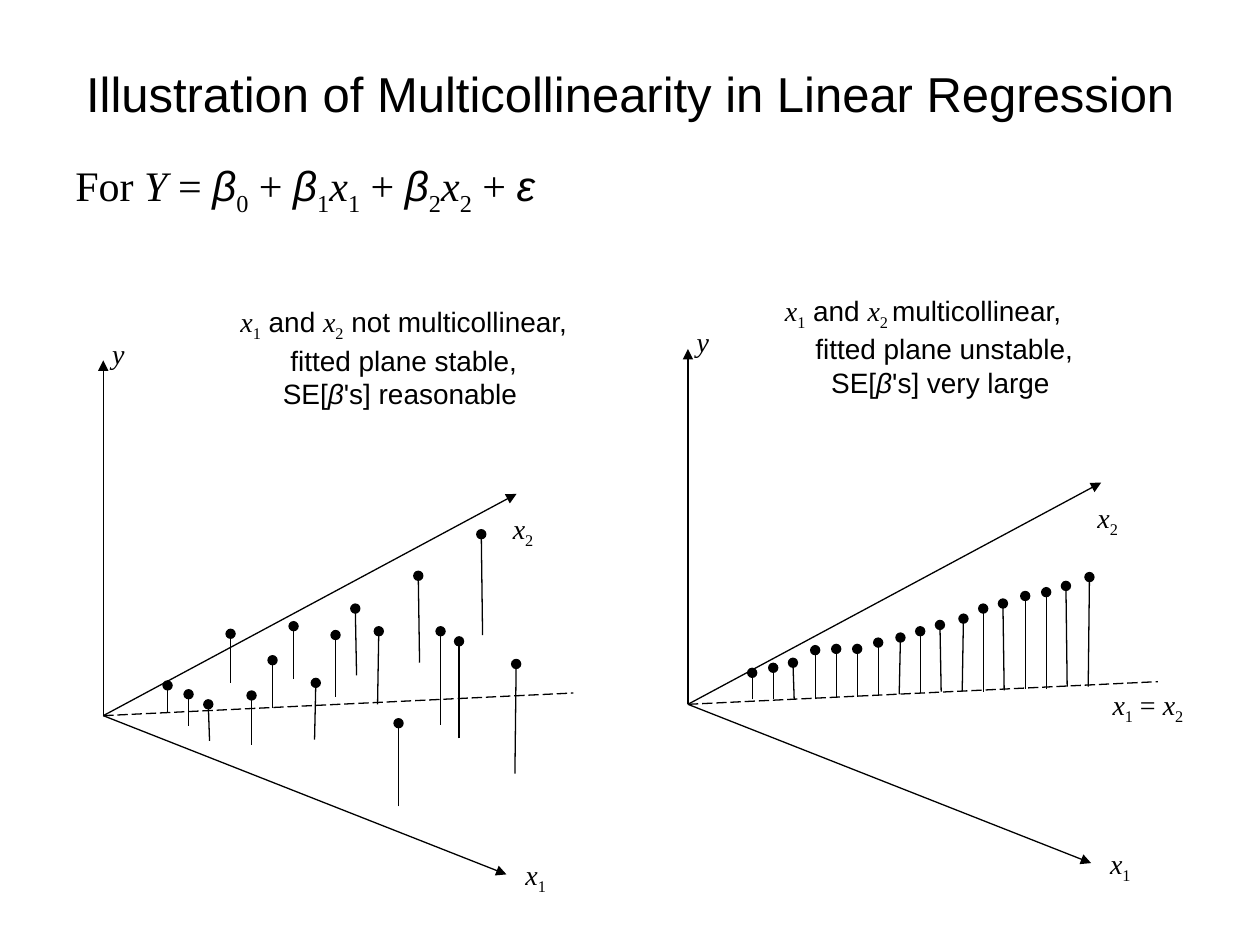
from lxml.etree import SubElement
from pptx import Presentation
from pptx.dml.color import RGBColor
from pptx.enum.dml import MSO_LINE
from pptx.enum.shapes import MSO_CONNECTOR
from pptx.enum.text import MSO_ANCHOR, MSO_AUTO_SIZE, PP_ALIGN
from pptx.oxml.ns import qn
from pptx.util import Inches, Pt

INK = "000000"
TITLE = "Illustration of Multicollinearity in Linear Regression"

PLAIN = {"font": "Arial"}
GREEK = {"font": "Arial", "italic": True}
SERIF = {"font": "Times New Roman"}
VARIABLE = {"font": "Times New Roman", "italic": True}
SUB = {"font": "Times New Roman", "baseline": -25000}

X1 = [("x", VARIABLE), ("1", SUB)]
X2 = [("x", VARIABLE), ("2", SUB)]
PLUS = [(" + ", SERIF)]

MODEL = [
    ("For ", SERIF), ("Y ", VARIABLE), ("= ", SERIF),
    ("β", GREEK), ("0", SUB), *PLUS,
    ("β", GREEK), ("1", SUB), *X1, *PLUS,
    ("β", GREEK), ("2", SUB), *X2, *PLUS,
    ("ε", GREEK),
]

AXES = [
    ((3.2, 1.26), {"tail": "triangle"}),
    ((0, -2.82), {"tail": "triangle"}),
    ((3.28, -1.76), {"tail": "triangle"}),
    ((3.73, -0.18), {"dash": MSO_LINE.LONG_DASH}),
]
AXIS_LABELS = [
    (X1, (3.35, 1.13, 0.61, 0.36)),
    ([("y", VARIABLE)], (0.07, -3.01, 0.36, 0.34)),
    (X2, (3.25, -1.62, 0.49, 0.38)),
]
EQUAL_LABEL = ([*X1, (" = ", SERIF), *X2], (3.37, -0.13, 0.61, 0.36))

CAPTION_OFFSET = (0.77, -3.26)
FIRST_STEM, STEM_GAP = 0.51, 1 / 6
STEM_HEIGHTS = [0.21, 0.25, 0.29, 0.39, 0.39, 0.38, 0.42, 0.45, 0.49,
                0.53, 0.58, 0.66, 0.69, 0.74, 0.77, 0.8, 0.87]
STEM_LEANS = {2: -0.01, 7: 0.01, 9: -0.01, 10: 0.01, 12: -0.01, 15: -0.01, 16: 0.01}

PANELS = [
    {
        "origin": (0.82, 5.68),
        "labels": AXIS_LABELS,
        "feet": [5.65, 5.76, 5.88, 5.42, 5.91, 5.62, 5.39, 5.87, 5.53,
                 5.36, 5.59, 6.4, 5.26, 5.75, 5.86, 5.04, 6.14],
        "shifts": {14: -0.02, 16: 0.09},
        "caption": [
            [*X1, (" and ", PLAIN), *X2, (" not multicollinear,", PLAIN)],
            [("fitted plane stable,", PLAIN)],
            [("SE[", PLAIN), ("β", GREEK), ("'s] reasonable ", PLAIN)],
        ],
        "caption_size": (3.23, 0.85),
        "first_align": PP_ALIGN.CENTER,
    },
    {
        "origin": (5.46, 5.59),
        "labels": AXIS_LABELS + [EQUAL_LABEL],
        "feet": [5.55, 5.55, 5.55, 5.55, 5.54, 5.53, 5.52, 5.51, 5.5,
                 5.49, 5.49, 5.49, 5.48, 5.47, 5.47, 5.45, 5.45],
        "shifts": {},
        "caption": [
            [*X1, (" and ", PLAIN), ("x", VARIABLE), ("2 ", SUB), ("multicollinear,", PLAIN)],
            [("fitted plane unstable,", PLAIN)],
            [("SE[", PLAIN), ("β", GREEK), ("'s] very large ", PLAIN)],
        ],
        "caption_size": (2.53, 0.46),
        "first_align": PP_ALIGN.LEFT,
    },
]


def paint(target, color):
    target.rgb = RGBColor.from_string(color)


def add_span(para, text, size=16, font="Arial", italic=False, baseline=None, color=INK):
    span = para.add_run()
    span.text = text
    span.font.size = Pt(size)
    span.font.name = font
    span.font.italic = italic
    paint(span.font.color, color)
    if baseline:
        span._r.get_or_add_rPr().set("baseline", str(baseline))


def add_text(shapes, lines, place, size=16, align=PP_ALIGN.LEFT, first_align=None,
             insets=(0, 0), before=0):
    box = shapes.add_textbox(*map(Inches, place))
    frame = box.text_frame
    frame.word_wrap = True
    frame.margin_left = frame.margin_right = Inches(insets[0])
    frame.margin_top = frame.margin_bottom = Inches(insets[1])
    for index, spans in enumerate(lines):
        para = frame.add_paragraph() if index else frame.paragraphs[0]
        para.alignment = align if index or first_align is None else first_align
        para.space_before = Pt(before)
        for text, style in spans:
            add_span(para, text, size=size, **style)


def add_line(shapes, start, end, tail=None, dash=None, color=INK):
    connector = shapes.add_connector(MSO_CONNECTOR.STRAIGHT, *map(Inches, (*start, *end)))
    connector.line.width = Pt(0.75)
    connector.line.fill.solid()
    paint(connector.line.fill.fore_color, color)
    if dash:
        connector.line.dash_style = dash
    properties = connector._element.spPr
    if tail:
        SubElement(properties.find(qn("a:ln")), qn("a:tailEnd"), type=tail)
    SubElement(properties, qn("a:effectLst"))


def add_panel(page, panel):
    shapes = page.shapes.add_group_shape().shapes
    left, top = panel["origin"]
    for (across, down), style in AXES:
        add_line(shapes, (left, top), (left + across, top + down), **style)
    for spans, (across, down, width, height) in panel["labels"]:
        add_text(shapes, [spans], (left + across, top + down, width, height))
    for index, (foot, height) in enumerate(zip(panel["feet"], STEM_HEIGHTS)):
        across = left + FIRST_STEM + index * STEM_GAP + panel["shifts"].get(index, 0)
        head = (across + STEM_LEANS.get(index, 0), foot - height)
        add_line(shapes, (across, foot), head, tail="oval")
    place = (left + CAPTION_OFFSET[0], top + CAPTION_OFFSET[1], *panel["caption_size"])
    add_text(shapes, panel["caption"], place, align=PP_ALIGN.CENTER,
             first_align=panel["first_align"])


def add_title(page):
    title = page.shapes.title
    title.left, title.top, title.width, title.height = map(Inches, (0.5, 0.3, 9, 0.87))
    frame = title.text_frame
    frame.word_wrap = True
    frame.auto_size = MSO_AUTO_SIZE.NONE
    frame.vertical_anchor = MSO_ANCHOR.MIDDLE
    para = frame.paragraphs[0]
    para.alignment = PP_ALIGN.CENTER
    add_span(para, TITLE, size=28)


def main():
    deck = Presentation()
    deck.slide_width, deck.slide_height = Inches(10), Inches(7.5)
    page = deck.slides.add_slide(deck.slide_layouts[5])
    add_title(page)
    for panel in PANELS:
        add_panel(page, panel)
    add_text(page.shapes, [MODEL], (0.5, 1.22, 9, 0.76), size=24,
             insets=(0.1, 0.05), before=4.8)
    deck.save("out.pptx")


if __name__ == "__main__":
    main()
